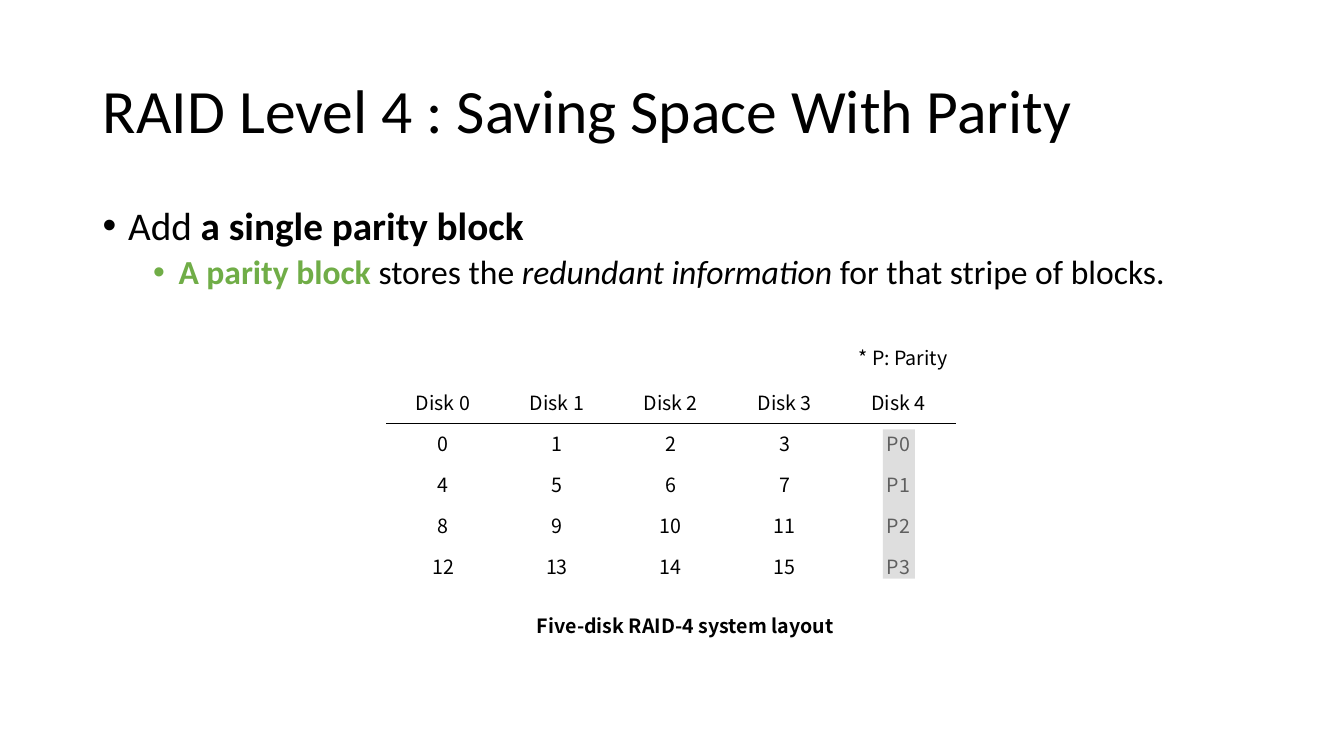
from lxml.etree import SubElement
from pptx import Presentation
from pptx.dml.color import RGBColor
from pptx.enum.shapes import MSO_SHAPE
from pptx.enum.text import MSO_ANCHOR, MSO_AUTO_SIZE, PP_ALIGN
from pptx.oxml.ns import qn
from pptx.util import Cm, Pt

# Content
TITLE = "RAID Level 4 : Saving Space With Parity"
# Each point: level, then runs of (text, style)
POINTS = [
    (0, [("Add ", ""), ("a single parity block", "bold")]),
    (1, [("A parity block ", "key"), ("stores the ", ""),
         ("redundant information", "italic"),
         (" for that stripe of blocks.", "")]),
]
DISKS = 5
STRIPES = 4
NOTE = "* P: Parity"
CAPTION = "Five-disk RAID-4 system layout"

THEME = {
    "head": "Calibri", "label": "Noto Sans CJK KR",
    "ink": RGBColor(0, 0, 0), "key": RGBColor(0x70, 0xAD, 0x47),
    "paper": RGBColor(255, 255, 255), "shade": RGBColor(0xBF, 0xBF, 0xBF),
    "title": 44, "points": (28, 24), "small": 14,
}

# Places in cm: left, top, width, height
TITLE_BOX = (2.34, 1.02, 29.21, 3.68)
BODY_BOX = (2.34, 5.08, 29.21, 12.09)
GRID_BOX = (9.73, 9.65, 14.35, 5.15)
NOTE_BOX = (21.31, 8.59, 2.9, 0.86)
CAPTION_BOX = (11.48, 15.34, 11.58, 0.86)
SHADE_BOX = (22.25, 10.82, 0.81, 3.76)


def place(box):
    return [Cm(n) for n in box]


def style(run, face, size, color=THEME["ink"], bold=False, italic=False):
    font = run.font
    font.name, font.size = face, Pt(size)
    font.bold, font.italic = bold, italic
    font.color.rgb = color


def label(frame, text, bold=False):
    frame.text = text
    para = frame.paragraphs[0]
    para.alignment = PP_ALIGN.CENTER
    style(para.runs[0], THEME["label"], THEME["small"], bold=bold)


def border(cell, ruled):
    """Draw only the ruled side of a cell; clear the other sides."""
    props = cell._tc.get_or_add_tcPr()
    for spot, side in enumerate(("lnL", "lnR", "lnT", "lnB")):
        line = props.makeelement(qn("a:" + side), {"w": str(Pt(0.75))})
        props.insert(spot, line)
        if side == ruled:
            fill = SubElement(line, qn("a:solidFill"))
            SubElement(fill, qn("a:srgbClr"), val=str(THEME["ink"]))
        else:
            SubElement(line, qn("a:noFill"))


def add_title(slide):
    title = slide.shapes.title
    title.left, title.top, title.width, title.height = place(TITLE_BOX)
    frame = title.text_frame
    frame.text = TITLE
    frame.auto_size = MSO_AUTO_SIZE.NONE
    frame.vertical_anchor = MSO_ANCHOR.MIDDLE
    para = frame.paragraphs[0]
    para.alignment, para.line_spacing = PP_ALIGN.LEFT, 0.9
    style(para.runs[0], THEME["head"], THEME["title"])


def add_points(slide):
    frame = slide.shapes.add_textbox(*place(BODY_BOX)).text_frame
    frame.word_wrap = True
    for spot, (level, parts) in enumerate(POINTS):
        para = frame.add_paragraph() if spot else frame.paragraphs[0]
        para.level, para.line_spacing = level, 0.9
        para.space_before = Pt(5 if level else 10)
        props = para._p.get_or_add_pPr()
        props.set("marL", str(Cm(0.64 + 1.27 * level)))
        props.set("indent", str(-Cm(0.64)))
        SubElement(props, qn("a:buFont"), typeface="Arial")
        SubElement(props, qn("a:buChar"), char="•")
        for text, look in parts:
            run = para.add_run()
            run.text = text
            style(run, THEME["head"], THEME["points"][level],
                  THEME["key" if look == "key" else "ink"],
                  look in ("bold", "key"), look == "italic")


def add_grid(slide):
    data = DISKS - 1
    rows = [[f"Disk {d}" for d in range(DISKS)]]
    for s in range(STRIPES):
        rows.append([str(s * data + d) for d in range(data)] + [f"P{s}"])
    table = slide.shapes.add_table(len(rows), DISKS, *place(GRID_BOX)).table
    table.first_row = table.horz_banding = False
    for r, row in enumerate(rows):
        for c, text in enumerate(row):
            cell = table.cell(r, c)
            label(cell.text_frame, text)
            if r and c == data:
                cell.fill.background()
            else:
                cell.fill.solid()
                cell.fill.fore_color.rgb = THEME["paper"]
            border(cell, {0: "lnB", 1: "lnT"}.get(r))


def add_label(slide, box, text, bold=False):
    frame = slide.shapes.add_textbox(*place(box)).text_frame
    frame.word_wrap = True
    frame.auto_size = MSO_AUTO_SIZE.SHAPE_TO_FIT_TEXT
    label(frame, text, bold)


def add_shade(slide):
    shade = slide.shapes.add_shape(MSO_SHAPE.RECTANGLE, *place(SHADE_BOX))
    shade.shadow.inherit = False
    shade.line.fill.background()
    shade.fill.solid()
    shade.fill.fore_color.rgb = THEME["shade"]
    color = shade._element.spPr.find(".//" + qn("a:srgbClr"))
    SubElement(color, qn("a:alpha"), val="50000")


def main():
    deck = Presentation()
    deck.slide_width, deck.slide_height = Cm(33.87), Cm(19.05)
    slide = deck.slides.add_slide(deck.slide_layouts[5])
    # Heading and bullets
    add_title(slide)
    add_points(slide)
    # Disk layout with its labels, parity column shaded on top
    add_label(slide, CAPTION_BOX, CAPTION, bold=True)
    add_grid(slide)
    add_label(slide, NOTE_BOX, NOTE)
    add_shade(slide)
    deck.save("out.pptx")


if __name__ == "__main__":
    main()
